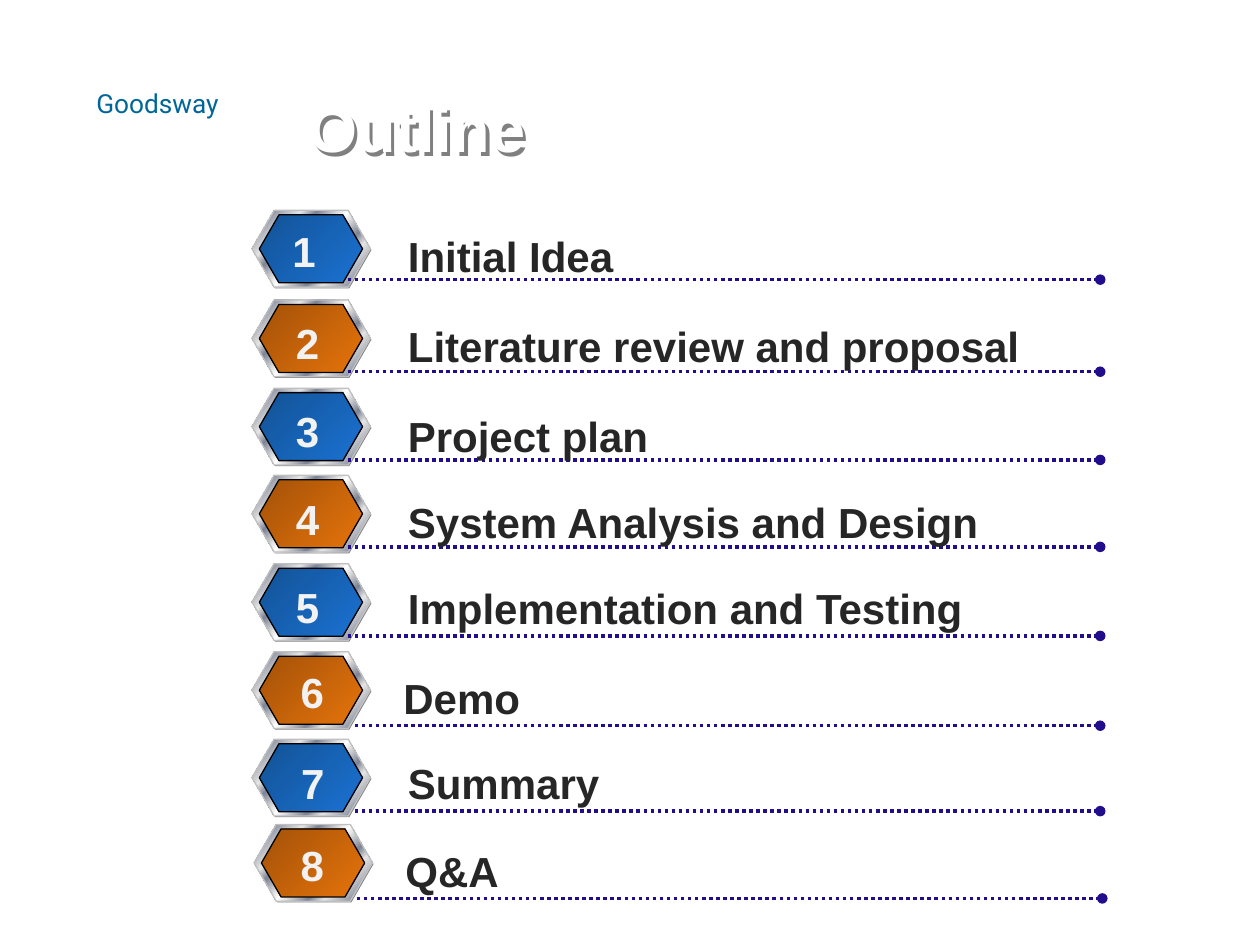
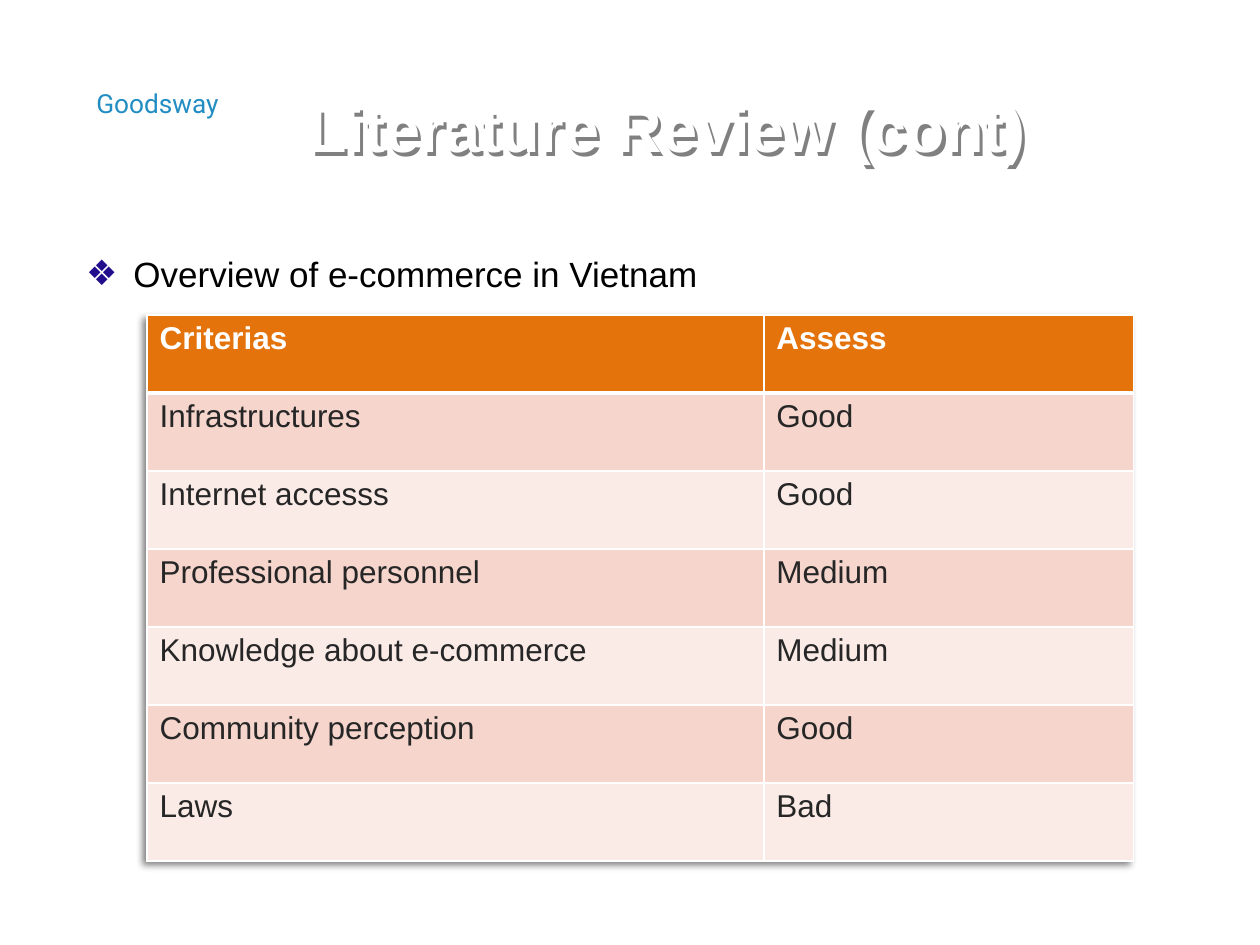
from dataclasses import dataclass

from pptx import Presentation
from pptx.dml.color import RGBColor
from pptx.enum.dml import MSO_LINE
from pptx.enum.shapes import MSO_CONNECTOR, MSO_SHAPE
from pptx.enum.text import MSO_ANCHOR as Anchor, MSO_AUTO_SIZE as AutoSize, PP_ALIGN as Align
from pptx.oxml import parse_xml
from pptx.oxml.ns import nsdecls, qn
from pptx.util import Pt


@dataclass(frozen=True)
class Theme:
    font: str = "Arial"
    brand_font: str = "Roboto"
    white: str = "FFFFFF"
    black: str = "000000"
    ink: str = "262626"
    number: str = "F2F2F2"
    accent: str = "220D8D"
    shade: str = "808080"
    rim: str = "C0C0C0"
    orange: str = "E5730B"
    brand_dark: str = "006699"
    brand_light: str = "218DC3"
    bands: tuple = ("F5D5CC", "FAEBE7")
    badges: tuple = (((0, "135296"), (100, "1A72D2")), ((0, "A45208"), (100, "E5730B")))
    steel: tuple = ((0, "E6E6E6"), (8, "7D8496"), (26, "E6E6E6"), (34, "7D8496"),
                    (46, "E6E6E6"), (50, "FFFFFF"), (54, "E6E6E6"), (66, "7D8496"),
                    (74, "E6E6E6"), (92, "7D8496"), (100, "E6E6E6"))
    title_size: int = 36
    entry_size: int = 24
    body_size: int = 20
    table_size: int = 18
    brand_size: int = 15


@dataclass(frozen=True)
class Entry:
    label: str
    label_width: float
    badge_top: float
    rule_top: float
    label_top: float
    number_top: float
    label_left: float = 226
    number_left: float = 161.8
    shift: float = 0
    rule_behind: bool = False


ENTRIES = (
    Entry("Initial Idea", 134, 120.2, 159.8, 128.2, 125.3, number_left=159.8),
    Entry("Literature review and proposal", 375, 171.4, 212.4, 179.6, 177.8),
    Entry("Project plan", 155, 221.8, 262.8, 231.1, 228.2),
    Entry("System Analysis and Design", 345, 271.6, 312.5, 280.1, 278.2),
    Entry("Implementation and Testing", 336, 322.1, 363.4, 329.3, 329),
    Entry("Demo", 84, 372.4, 414.7, 380.9, 377.3, 223.4, 164.4, rule_behind=True),
    Entry("Summary", 127, 422.4, 463.5, 429.6, 429.1, 226, 164.7, rule_behind=True),
    Entry("Q&A", 70, 471.1, 513.4, 479.5, 475.9, 224.6, 164.4, 1.2, True),
)

ASSESSMENT = (
    ("Criterias", "Assess"),
    ("Infrastructures", "Good"),
    ("Internet accesss", "Good"),
    ("Professional personnel", "Medium"),
    ("Knowledge about e-commerce", "Medium"),
    ("Community perception", "Good"),
    ("Laws", "Bad"),
)


def element(markup):
    """Parse DrawingML whose root tag carries the namespace."""
    head, mark, rest = markup.partition(" ")
    return parse_xml(f"{head} {nsdecls('a')}{mark}{rest}")


def drop_shadow(color, alpha, blur, distance, direction):
    return element(
        f'<a:outerShdw blurRad="{Pt(blur)}" dist="{Pt(distance)}" dir="{direction * 60000}" '
        f'algn="tl" rotWithShape="0"><a:srgbClr val="{color}">'
        f'<a:alpha val="{alpha * 1000}"/></a:srgbClr></a:outerShdw>')


class Deck:
    def __init__(self, theme):
        self.theme = theme
        self.deck = Presentation()
        self.deck.slide_width, self.deck.slide_height = Pt(720), Pt(540)
        self.page = None

    def add_page(self, layout, title, title_width, brand_color):
        self.page = self.deck.slides.add_slide(self.deck.slide_layouts[layout])
        self.title(title, title_width)
        self.text("Goodsway", 48, 46.4, 90.7, 25.2, self.theme.brand_size,
                  brand_color, font=self.theme.brand_font, bold=False)

    def span(self, para, text, size, color, bold=False, font=None):
        span = para.add_run()
        span.text = text
        span.font.name = font or self.theme.font
        span.font.size, span.font.bold = Pt(size), bold
        span.font.color.rgb = RGBColor.from_string(color)

    def place(self, box, left, top, width, height):
        box.left, box.top, box.width, box.height = Pt(left), Pt(top), Pt(width), Pt(height)
        box.text_frame.auto_size = AutoSize.NONE

    def title(self, text, width):
        box = self.page.shapes.title
        self.place(box, 168, 54, width, 38)
        box.text_frame.vertical_anchor = Anchor.MIDDLE
        box.text_frame.margin_left = Pt(8.4)
        para = box.text_frame.paragraphs[0]
        para.alignment = Align.LEFT
        self.span(para, text, self.theme.title_size, self.theme.white, True)
        box.shadow.inherit = False
        effects = box._element.spPr.find(qn("a:effectLst"))
        effects.append(drop_shadow(self.theme.shade, 100, 0, 2.5, 45))

    def text(self, text, left, top, width, height, size, color,
             align=Align.LEFT, font=None, bold=True):
        box = self.page.shapes.add_textbox(Pt(left), Pt(top), Pt(width), Pt(height))
        box.text_frame.word_wrap = False
        box.text_frame.auto_size = AutoSize.SHAPE_TO_FIT_TEXT
        para = box.text_frame.paragraphs[0]
        para.alignment = align
        self.span(para, text, size, color, bold, font)

    def bullet(self, text, left, top, width, height):
        box = self.page.placeholders[1]
        self.place(box, left, top, width, height)
        para = box.text_frame.paragraphs[0]
        props = para._p.get_or_add_pPr()
        props.set("marL", str(Pt(27)))
        props.set("indent", str(-Pt(27)))
        props.append(element(f'<a:buClr ><a:srgbClr val="{self.theme.accent}"/></a:buClr>'))
        props.append(element('<a:buChar char="❖"/>'))
        para.line_spacing, para.space_before = 1.5, Pt(0)
        self.span(para, text, self.theme.body_size, self.theme.black)

    def hexagon(self, left, top, width, height, fill, line=None):
        shape = self.page.shapes.add_shape(
            MSO_SHAPE.HEXAGON, Pt(left), Pt(top), Pt(width), Pt(height))
        shape.adjustments[0] = 0.289
        shape.shadow.inherit = False
        if isinstance(fill, str):
            shape.fill.solid()
            shape.fill.fore_color.rgb = RGBColor.from_string(fill)
        else:
            stops = "".join(f'<a:gs pos="{at * 1000}"><a:srgbClr val="{color}"/></a:gs>'
                            for at, color in fill)
            shape._element.spPr.find(qn("a:prstGeom")).addnext(element(
                f'<a:gradFill rotWithShape="1"><a:gsLst>{stops}</a:gsLst>'
                '<a:lin ang="2700000" scaled="1"/></a:gradFill>'))
        if line:
            shape.line.color.rgb = RGBColor.from_string(line)
            shape.line.width = Pt(0.75)
        else:
            shape.line.fill.background()

    def badge(self, left, top, fill):
        self.hexagon(left + 0.6, top + 0.7, 67.7, 43.9, self.theme.shade)
        self.hexagon(left, top, 67.7, 43.9, self.theme.steel, self.theme.rim)
        self.hexagon(left + 4.2, top + 2.6, 59, 38.9, fill, self.theme.black)

    def dotted_rule(self, left, top, right):
        rule = self.page.shapes.add_connector(
            MSO_CONNECTOR.STRAIGHT, Pt(left), Pt(top), Pt(right), Pt(top))
        rule.line.color.rgb = RGBColor.from_string(self.theme.accent)
        rule.line.width, rule.line.dash_style = Pt(2), MSO_LINE.ROUND_DOT
        props = rule._element.spPr
        props.find(qn("a:ln")).append(element('<a:tailEnd type="oval"/>'))
        props.append(element("<a:effectLst />"))

    def cell(self, cell, text, fill, color, bold, bottom):
        cell.fill.solid()
        cell.fill.fore_color.rgb = RGBColor.from_string(fill)
        self.span(cell.text_frame.paragraphs[0], text, self.theme.table_size, color, bold)
        props = cell._tc.get_or_add_tcPr()
        borders = (("lnL", 1), ("lnR", 1), ("lnT", 1), ("lnB", bottom))
        for index, (side, width) in enumerate(borders):
            props.insert(index, element(
                f'<a:{side} w="{Pt(width)}"><a:solidFill>'
                f'<a:srgbClr val="{self.theme.white}"/></a:solidFill></a:{side}>'))

    def table(self, rows, left, top, widths, row_height):
        frame = self.page.shapes.add_table(
            len(rows), len(widths), Pt(left), Pt(top),
            Pt(sum(widths)), Pt(row_height * len(rows)))
        grid = frame.table
        effects = element("<a:effectLst />")
        effects.append(drop_shadow(self.theme.black, 50, 4, 3, 135))
        grid._tbl.tblPr.insert(0, effects)
        for column, width in zip(grid.columns, widths):
            column.width = Pt(width)
        for r, row in enumerate(rows):
            grid.rows[r].height = Pt(row_height)
            if r == 0:
                style = (self.theme.orange, self.theme.white, True, 3)
            else:
                style = (self.theme.bands[(r - 1) % 2], self.theme.ink, False, 1)
            for c, text in enumerate(row):
                self.cell(grid.cell(r, c), text, *style)

    def outline_entry(self, number, entry):
        rule = (198.7 + entry.shift, entry.rule_top, 628.7 + entry.shift)
        if entry.rule_behind:
            self.dotted_rule(*rule)
        self.badge(144 + entry.shift, entry.badge_top, self.theme.badges[(number - 1) % 2])
        if not entry.rule_behind:
            self.dotted_rule(*rule)
        self.text(entry.label, entry.label_left, entry.label_top, entry.label_width, 36,
                  self.theme.entry_size, self.theme.ink)
        self.text(str(number), entry.number_left, entry.number_top, 28, 36,
                  self.theme.entry_size, self.theme.number, Align.CENTER)


def main():
    theme = Theme()
    deck = Deck(theme)

    # Outline
    deck.add_page(5, "Outline", 318, theme.brand_dark)
    for number, entry in enumerate(ENTRIES, 1):
        deck.outline_entry(number, entry)

    # Literature review
    deck.add_page(1, "Literature Review (cont)", 462, theme.brand_light)
    deck.bullet("Overview of e-commerce in Vietnam", 42, 128.4, 624, 40)
    deck.table(ASSESSMENT, 84, 180, (352.5, 211.2), 44.57)

    deck.deck.save("out.pptx")


if __name__ == "__main__":
    main()
